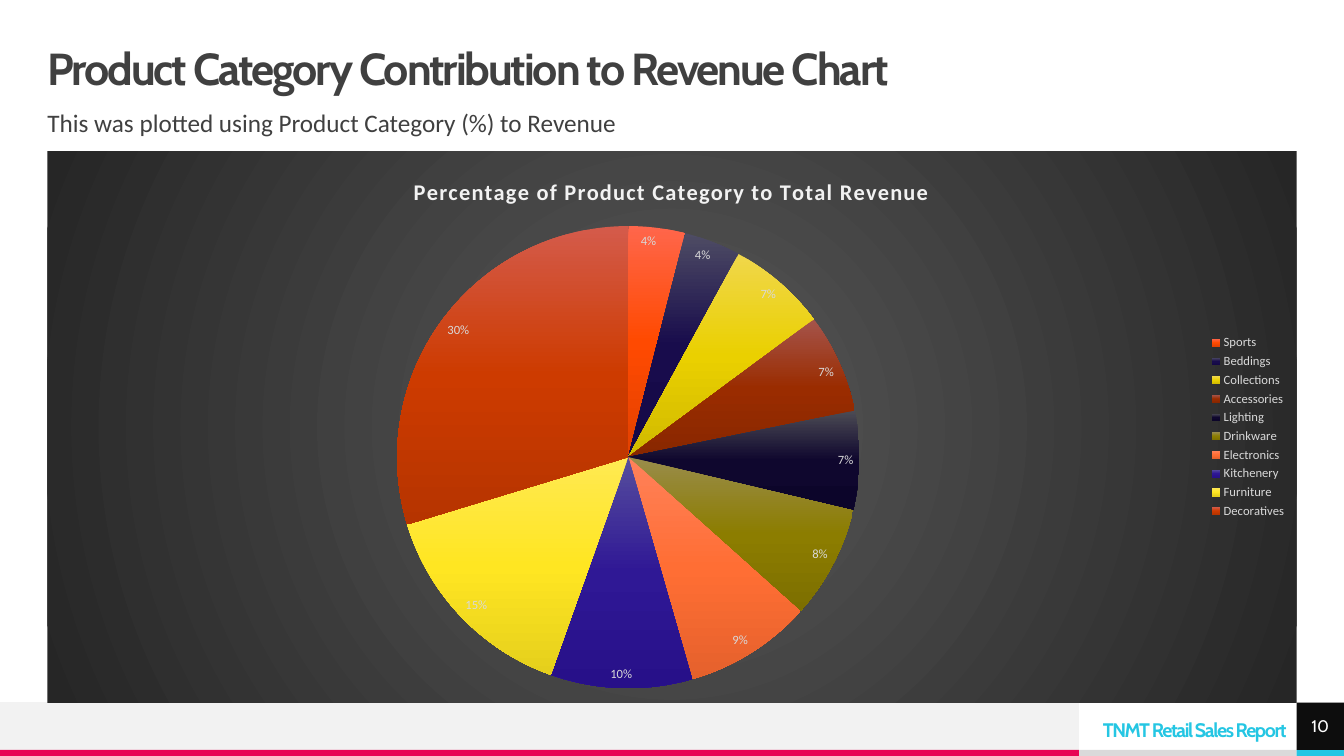
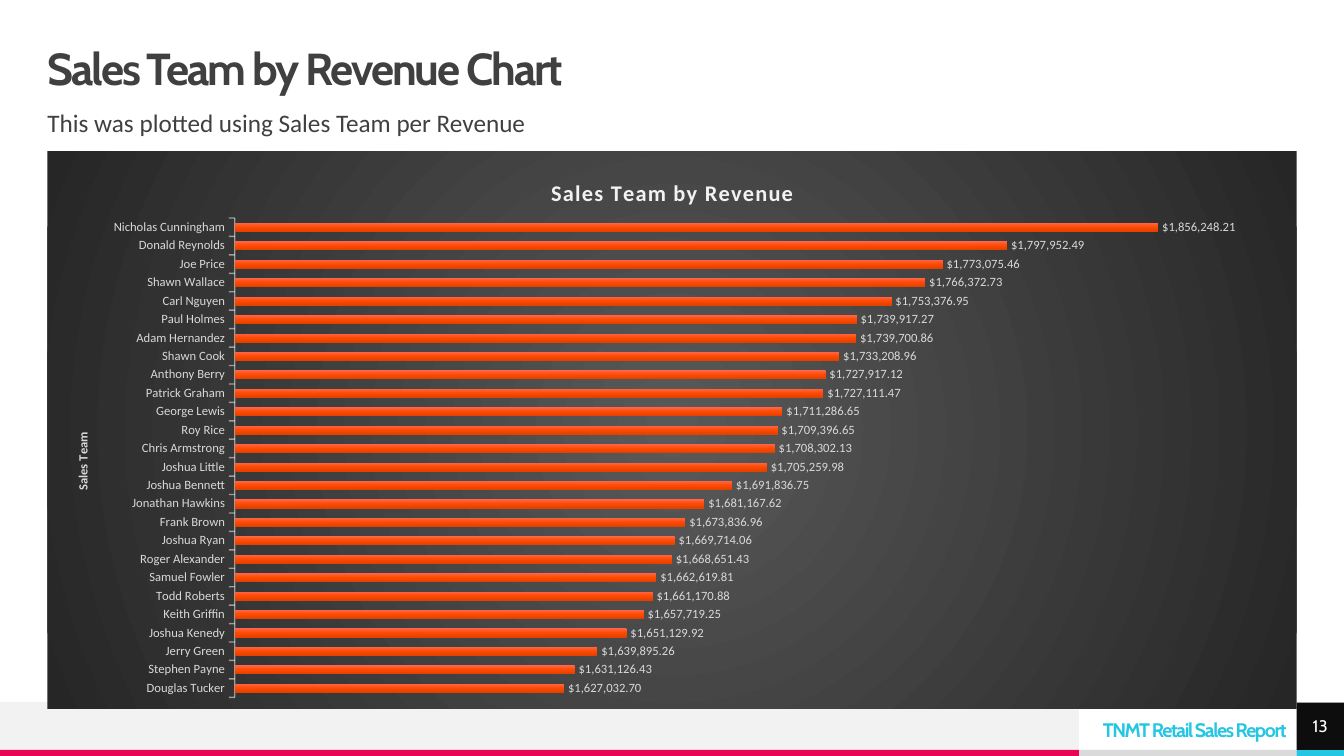
from lxml.etree import SubElement
from pptx import Presentation
from pptx.chart.data import CategoryChartData
from pptx.dml.color import RGBColor
from pptx.enum.chart import XL_CHART_TYPE as CT, XL_LABEL_POSITION as LP
from pptx.enum.chart import XL_LEGEND_POSITION as LEG, XL_TICK_MARK as TM
from pptx.enum.shapes import MSO_CONNECTOR as CON, MSO_SHAPE as SHP
from pptx.enum.text import MSO_ANCHOR as ANC, MSO_AUTO_SIZE as AUTO, PP_ALIGN as AL
from pptx.oxml import parse_xml
from pptx.oxml.ns import nsdecls, qn
from pptx.util import Inches, Pt

W, H = 13.33, 7.5
MARGIN = 0.47
RIGHT = W - MARGIN
CONTENT = RIGHT - MARGIN
BAND_TOP, STRIPE_TOP = 6.97, 7.44
BAND = STRIPE_TOP - BAND_TOP
STRIPE = H - STRIPE_TOP
BRAND_LEFT = 10.7
CHART_TOP = 1.5

HEAD, BODY = "Cabin", "Calibri"
INK, WHITE, BLACK = "404040", "FFFFFF", "0D0D0D"
PINK, CYAN, PALE, GREY = "E80554", "25C6E3", "F2F2F2", "DADADA"
LABEL = "D9D9D9"
BACKDROP = ("595959", "262626")
ORANGE = ("FF664B", "FF4A01", "E34100")
DOLLARS = '"$"#,##0.00'

CATEGORIES = [
    ("Sports", 0.04, ORANGE),
    ("Beddings", 0.04, ("4E4C64", "180C4C", "140846")),
    ("Collections", 0.07, ("F0D74B", "EAD000", "D0B900")),
    ("Accessories", 0.07, ("A5544B", "9A2C00", "882700")),
    ("Lighting", 0.07, ("4C4B54", "0F072E", "0C052A")),
    ("Drinkware", 0.08, ("998C4B", "8C7D00", "7D6F00")),
    ("Electronics", 0.09, ("FF815A", "FF6E34", "E5612C")),
    ("Kitchenery", 0.1, ("564E9D", "2F1895", "271089")),
    ("Furniture", 0.15, ("FFE952", "FFE622", "E5CF1C")),
    ("Decoratives", 0.3, ("D45B4B", "CD3B00", "B63400")),
]
TEAM = [
    ("Douglas Tucker", 1627032.7), ("Stephen Payne", 1631126.43),
    ("Jerry Green", 1639895.26), ("Joshua Kenedy", 1651129.92),
    ("Keith Griffin", 1657719.25), ("Todd Roberts", 1661170.88),
    ("Samuel Fowler", 1662619.81), ("Roger Alexander", 1668651.43),
    ("Joshua Ryan", 1669714.06), ("Frank Brown", 1673836.96),
    ("Jonathan Hawkins", 1681167.62), ("Joshua Bennett", 1691836.75),
    ("Joshua Little", 1705259.98), ("Chris Armstrong", 1708302.13),
    ("Roy Rice", 1709396.65), ("George Lewis", 1711286.65),
    ("Patrick Graham", 1727111.47), ("Anthony Berry", 1727917.12),
    ("Shawn Cook", 1733208.96), ("Adam Hernandez", 1739700.86),
    ("Paul Holmes", 1739917.27), ("Carl Nguyen", 1753376.95),
    ("Shawn Wallace", 1766372.73), ("Joe Price", 1773075.46),
    ("Donald Reynolds", 1797952.49), ("Nicholas Cunningham", 1856248.21),
]


def rgb(value):
    """Turn a hex string into a colour."""
    return RGBColor.from_string(value)


def style(font, size, color, name=BODY, bold=False):
    """Set the common properties of a font."""
    font.size, font.name, font.bold = Pt(size), name, bold
    font.color.rgb = rgb(color)


def write(tf, text, size, color, name=BODY, bold=False, spacing=0, insets=(0, 0, 0, 0)):
    """Fill a text frame with one styled paragraph and return it."""
    tf.word_wrap, tf.auto_size = True, AUTO.NONE
    tf.margin_left, tf.margin_top, tf.margin_right, tf.margin_bottom = map(Inches, insets)
    p = tf.paragraphs[0]
    track(p, text, spacing)
    style(p.font, size, color, name, bold)
    return p


def track(p, text, spacing):
    """Add a run with letter spacing in points."""
    r = p.add_run()
    r.text = text
    if spacing:
        r._r.get_or_add_rPr().set("spc", str(int(spacing * 100)))


def rect(s, x, y, w, h, color):
    """Draw a plain filled rectangle."""
    sp = s.shapes.add_shape(SHP.RECTANGLE, *map(Inches, (x, y, w, h)))
    sp.shadow.inherit = False
    sp.fill.solid()
    sp.fill.fore_color.rgb = rgb(color)
    sp.line.fill.background()
    return sp


def place(sp, x, y, w, h):
    """Move and size a placeholder."""
    sp.left, sp.top, sp.width, sp.height = map(Inches, (x, y, w, h))


def build_master(prs, layout, s):
    """Draw the footer once, move it to the master and place the layout's placeholders."""
    brand_width = RIGHT - BRAND_LEFT
    parts = [
        rect(s, BRAND_LEFT, STRIPE_TOP, brand_width, STRIPE, GREY),
        rect(s, 0, BAND_TOP, BRAND_LEFT, BAND, PALE),
        rect(s, 0, STRIPE_TOP, BRAND_LEFT, STRIPE, PINK),
        rect(s, RIGHT, STRIPE_TOP, MARGIN, STRIPE, CYAN),
    ]
    box = s.shapes.add_textbox(*map(Inches, (BRAND_LEFT, 7.09, brand_width, 0.28)))
    p = write(box.text_frame, "TNMT Retail Sales Report", 14, CYAN, HEAD, True, -1,
              (0.1, 0.12, 0.1, 0))
    box.text_frame.vertical_anchor = ANC.MIDDLE
    p.alignment, p.line_spacing = AL.RIGHT, Pt(10)
    rule = s.shapes.add_connector(CON.STRAIGHT, *map(Inches, (W, BAND_TOP, 0, BAND_TOP)))
    rule.line.color.rgb, rule.line.width = rgb(PALE), Pt(0.5)
    SubElement(rule.element.spPr, qn("a:effectLst"))
    for i, sp in enumerate(parts + [box, rule], 20):
        sp.element.xpath("./*/p:cNvPr")[0].set("id", str(i))
        prs.slide_master.shapes.element.append(sp.element)
    place(layout.placeholders[0], MARGIN, MARGIN, CONTENT, 0.47)
    place(layout.placeholders[1], MARGIN, 1.1, CONTENT, 0.39)


def add_heading(s, title, subtitle, number):
    """Fill the title, the subtitle and the page number."""
    tf = s.shapes.title.text_frame
    p = write(tf, title, 32, INK, HEAD, True, -1.5)
    tf.vertical_anchor = ANC.MIDDLE
    p.alignment, p.line_spacing = AL.LEFT, 0.9
    tf = s.placeholders[1].text_frame
    p = write(tf, subtitle, 18, INK)
    tf.vertical_anchor = ANC.TOP
    p.line_spacing, p.space_before = 0.9, Pt(10)
    pPr = p._p.get_or_add_pPr()
    pPr.set("marL", "0")
    pPr.set("indent", "0")
    pPr.insert_element_before(parse_xml(f"<a:buNone {nsdecls('a')}/>"),
                              "a:tabLst", "a:defRPr", "a:extLst")
    box = rect(s, RIGHT, BAND_TOP, MARGIN, BAND, BLACK)
    box.text_frame.vertical_anchor = ANC.MIDDLE
    write(box.text_frame, number, 12, WHITE, HEAD).alignment = AL.CENTER


def gradient(colors, shade):
    """Build a gradient fill with evenly spaced stops."""
    step = 100000 // (len(colors) - 1)
    stops = "".join(f'<a:gs pos="{i * step}"><a:srgbClr val="{c}"/></a:gs>'
                    for i, c in enumerate(colors))
    return parse_xml(f"<a:gradFill {nsdecls('a')}><a:gsLst>{stops}</a:gsLst>{shade}</a:gradFill>")


def shade_down(fmt, colors):
    """Fill a series or a slice with a vertical gradient."""
    fmt.fill.solid()
    solid = fmt.element.find(qn("c:spPr")).find(qn("a:solidFill"))
    solid.getparent().replace(solid, gradient(colors, '<a:lin ang="5400000" scaled="0"/>'))


def set_layout(el, x, y, w=None, h=None):
    """Place a chart part by shares of the chart's size."""
    old = el.find(qn("c:layout"))
    if old is not None:
        el.remove(old)
    inner = '<c:layoutTarget val="inner"/>' if w else ""
    modes = '<c:xMode val="edge"/><c:yMode val="edge"/>'
    sizes = "".join(f'<c:{k} val="{v}"/>' for k, v in zip("xywh", (x, y, w, h)) if v)
    layout = parse_xml(f"<c:layout {nsdecls('c')}><c:manualLayout>{inner}{modes}{sizes}"
                       "</c:manualLayout></c:layout>")
    el.insert(0 if el.find(qn("c:tx")) is None else 1, layout)


def set_title(title, text, size, color, x, y, spacing=0):
    """Write and place the title of a chart or an axis."""
    p = title.text_frame.paragraphs[0]
    track(p, text, spacing)
    style(p.font, size, color, bold=True)
    set_layout(title.element, x, y)


def add_chart(s, kind, rows, height, title, title_x, plot_area, fmt, pos):
    """Add a one-series chart on the dark backdrop with value labels."""
    data = CategoryChartData(number_format=fmt)
    data.categories = [row[0] for row in rows]
    data.add_series("Series 1", [row[1] for row in rows])
    frame = s.shapes.add_chart(kind, *map(Inches, (MARGIN, CHART_TOP, CONTENT, height)), data)
    chart = frame.chart
    style(chart.font, 9, LABEL)
    chart.has_title, chart.has_legend = True, False
    set_title(chart.chart_title, title, 16, PALE, title_x, 0.04, 1)
    chart_el = chart.element.find(qn("c:chart"))
    set_layout(chart_el.find(qn("c:plotArea")), *plot_area)
    backdrop = parse_xml(f"<c:spPr {nsdecls('c', 'a')}><a:ln><a:noFill/></a:ln></c:spPr>")
    backdrop.insert(0, gradient(BACKDROP, '<a:path path="circle"><a:fillToRect l="50000" '
                                't="50000" r="50000" b="50000"/></a:path>'))
    chart_el.addnext(backdrop)
    plot = chart.plots[0]
    plot.has_data_labels = True
    labels = plot.data_labels
    labels.show_value, labels.show_percentage = True, False
    labels.number_format, labels.number_format_is_linked = fmt, False
    labels.position = pos
    style(labels.font, 9, LABEL)
    return chart


def add_pie(s):
    """Add the pie of product categories."""
    chart = add_chart(s, CT.PIE, CATEGORIES, BAND_TOP - CHART_TOP,
                      "Percentage of Product Category to Total Revenue", 0.29,
                      (0.28, 0.13, 0.37, 0.85), "0%", LP.INSIDE_END)
    chart.plots[0].vary_by_categories = True
    for i, (_, _, colors) in enumerate(CATEGORIES):
        shade_down(chart.series[0].points[i].format, colors)
    chart.has_legend = True
    chart.legend.position, chart.legend.include_in_layout = LEG.RIGHT, False
    style(chart.legend.font, 9, LABEL)


def add_bars(s):
    """Add the bars of the sales team."""
    chart = add_chart(s, CT.BAR_CLUSTERED, TEAM, 5.53, "Sales Team by Revenue", 0.4,
                      (0.15, 0.12, 0.83, 0.86), DOLLARS, LP.OUTSIDE_END)
    plot, series = chart.plots[0], chart.series[0]
    plot.vary_by_categories, plot.gap_width, plot.overlap = False, 115, -20
    series.invert_if_negative = False
    shade_down(series.format, ORANGE)
    values, names = chart.value_axis, chart.category_axis
    values.visible, values.has_major_gridlines = False, False
    values.minimum_scale, values.maximum_scale = 1500000, 1900000
    names.has_major_gridlines = False
    names.major_tick_mark, names.minor_tick_mark = TM.OUTSIDE, TM.NONE
    style(names.tick_labels.font, 9, LABEL)
    line = names.format.line
    line.color.rgb, line.width = rgb(PALE), Pt(1)
    for color in names.format.element.xpath("./c:spPr/a:ln//a:srgbClr"):
        SubElement(color, qn("a:alpha"), val="54000")
    names.has_title = True
    set_title(names.axis_title, "Sales Team", 9, LABEL, 0.02, 0.5)
    names.axis_title.text_frame._txBody.bodyPr.set("rot", "-5400000")
    names.axis_title.text_frame._txBody.bodyPr.set("vert", "horz")


def main():
    """Build the two report slides."""
    prs = Presentation()
    prs.slide_width, prs.slide_height = Inches(W), Inches(H)
    layout = prs.slide_layouts[1]
    pages = [
        ("Product Category Contribution to Revenue Chart",
         "This was plotted using Product Category (%) to Revenue", "10", add_pie),
        ("Sales Team by Revenue Chart",
         "This was plotted using Sales Team per Revenue", "13", add_bars),
    ]
    slides = [prs.slides.add_slide(layout) for _ in pages]
    build_master(prs, layout, slides[0])
    for s, (title, subtitle, number, draw) in zip(slides, pages):
        add_heading(s, title, subtitle, number)
        draw(s)
    prs.save("out.pptx")


if __name__ == "__main__":
    main()
